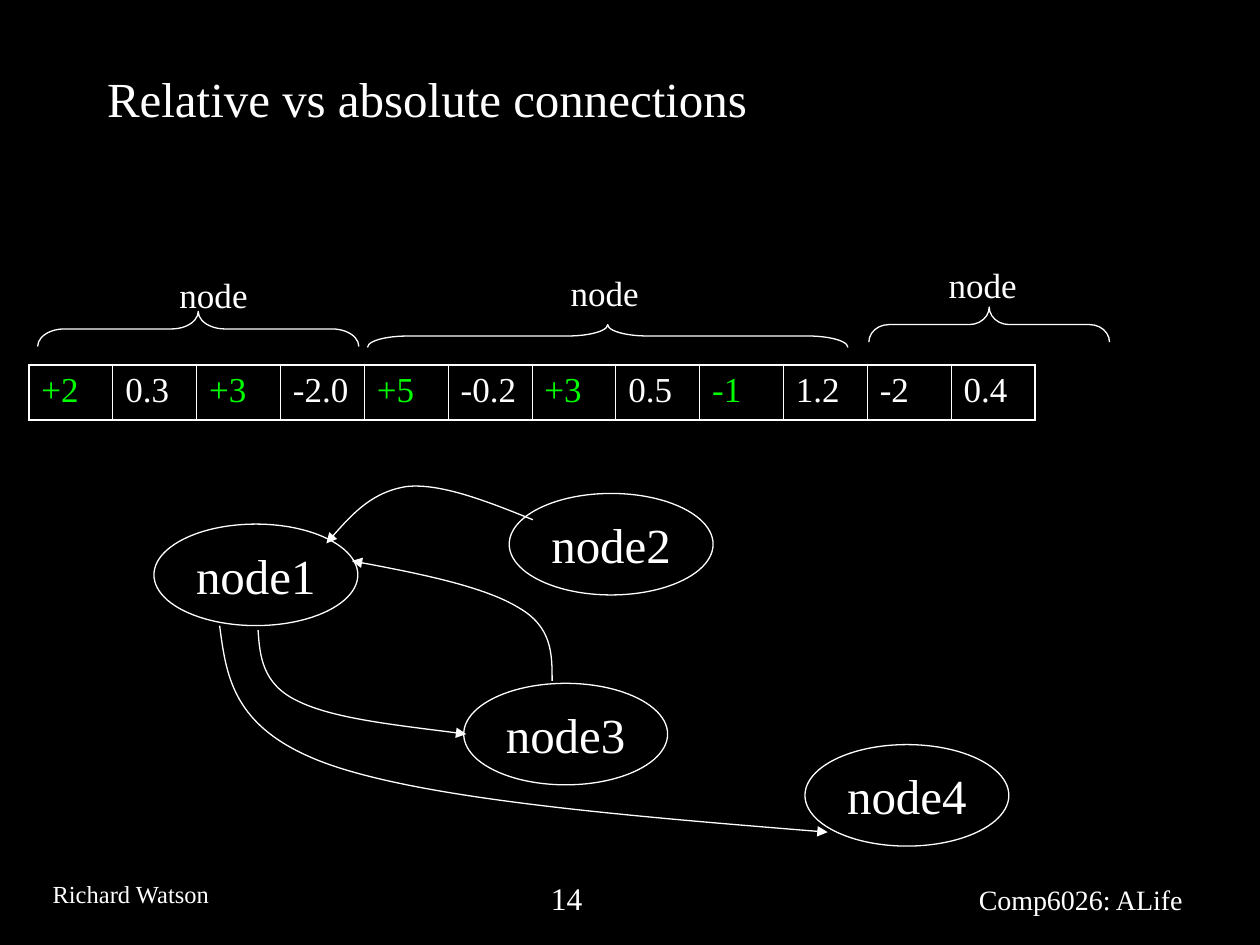
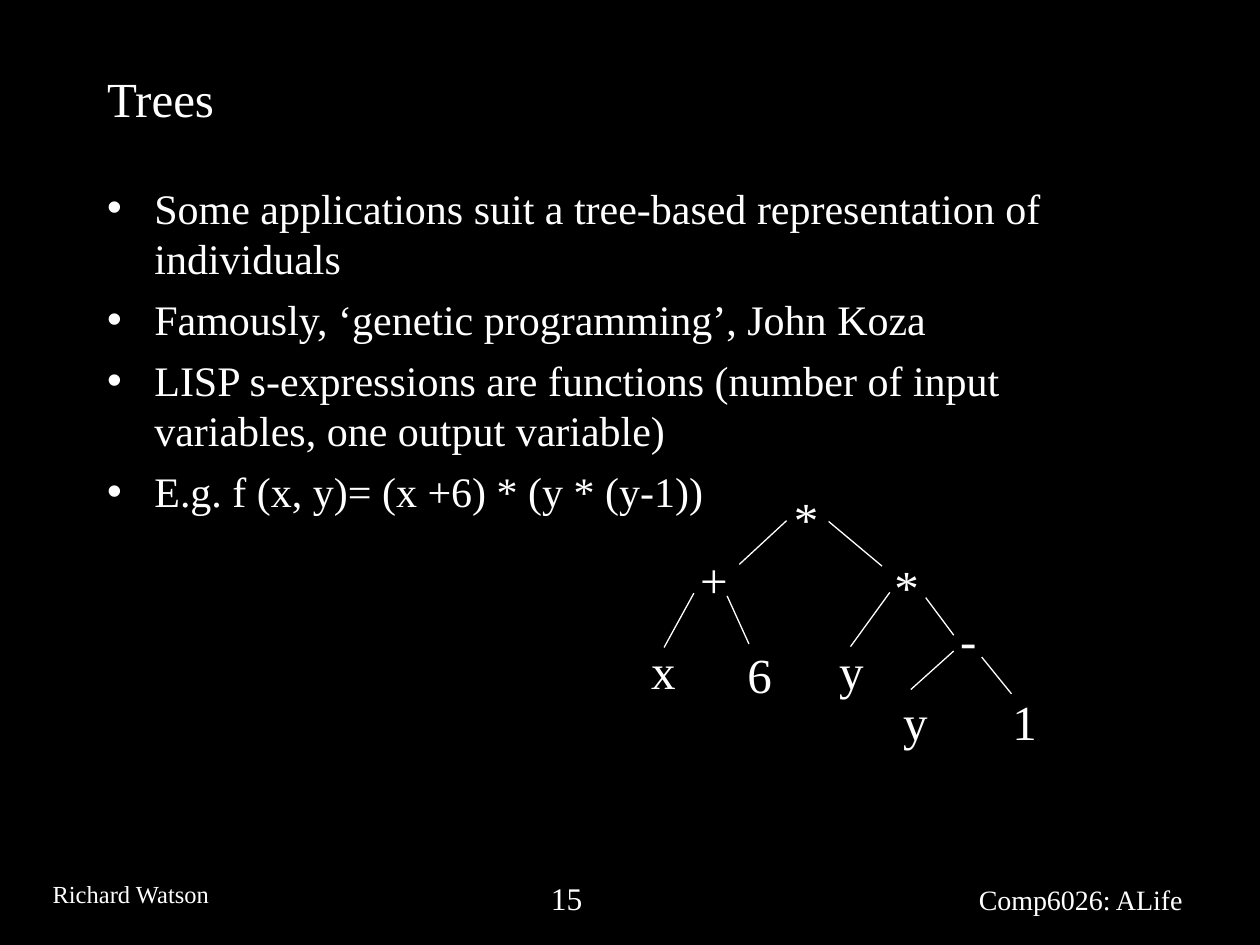
from lxml import etree
from pptx import Presentation
from pptx import util as u
from pptx.dml.color import RGBColor
from pptx.enum import shapes, text
from pptx.oxml.ns import qn

BLACK = RGBColor(0x00, 0x00, 0x00)
WHITE = RGBColor(0xFF, 0xFF, 0xFF)
GREEN = RGBColor(0x00, 0xFF, 0x00)
FONT = "Times New Roman"
TITLE_SIZE, BODY_SIZE, LABEL_SIZE = 28, 24, 20
LINE_WIDTH = 0.75
OUTER_BORDER, INNER_BORDER = 1.08, 0.45

TITLE_BOX = (54, 29.5, 612, 52.5)
BODY_BOX = (54, 100.5, 612, 397.5)
TITLE_ONLY, TITLE_AND_BODY = 5, 1


def points(values):
    return [u.Pt(value) for value in values]


class SlideBuilder:
    """Holds the shared style and the slide being built."""

    def __init__(self, deck):
        self.deck = deck
        self.page = None
        fill = deck.slide_master.background.fill
        fill.solid()
        fill.fore_color.rgb = BLACK

    def new_page(self, layout, title, number):
        self.page = self.deck.slides.add_slide(self.deck.slide_layouts[layout])
        self.placeholder(self.page.shapes.title, TITLE_BOX, title, TITLE_SIZE,
                         anchor=text.MSO_ANCHOR.MIDDLE)
        # Footer
        self.label("Comp6026: ALife", (552.25, 500.5, 180, 26), 16, wrap=True)
        self.label("Richard Watson", (23, 499, 105, 24.5), 14)
        self.label(str(number), (307.75, 499, 89, 29), 18, wrap=True)

    def format_text(self, frame, size, color=WHITE, align=text.PP_ALIGN.LEFT,
                    before=0):
        for para in frame.paragraphs:
            para.alignment = align
            para.space_before = u.Pt(before)
            for span in para.runs:
                span.font.name = FONT
                span.font.size = u.Pt(size)
                span.font.color.rgb = color

    def outline(self, shape):
        shape.shadow.inherit = False
        shape.fill.background()
        self.stroke(shape)

    def stroke(self, shape):
        shape.line.color.rgb = WHITE
        shape.line.width = u.Pt(LINE_WIDTH)

    def placeholder(self, box, place, words, size, before=0,
                    anchor=text.MSO_ANCHOR.TOP):
        box.left, box.top, box.width, box.height = points(place)
        frame = box.text_frame
        frame.text = words
        frame.auto_size = text.MSO_AUTO_SIZE.NONE
        frame.vertical_anchor = anchor
        self.format_text(frame, size, before=before)

    def bullets(self, lines):
        self.placeholder(self.page.placeholders[1], BODY_BOX,
                         "\n".join(lines), BODY_SIZE, before=6)

    def label(self, words, place, size, wrap=False):
        frame = self.page.shapes.add_textbox(*points(place)).text_frame
        frame.text = words
        frame.word_wrap = wrap
        frame.auto_size = text.MSO_AUTO_SIZE.SHAPE_TO_FIT_TEXT
        self.format_text(frame, size)

    def ellipse(self, words, place):
        shape = self.page.shapes.add_shape(shapes.MSO_SHAPE.OVAL, *points(place))
        self.outline(shape)
        frame = shape.text_frame
        frame.text = words
        frame.word_wrap = False
        frame.vertical_anchor = text.MSO_ANCHOR.MIDDLE
        self.format_text(frame, TITLE_SIZE, align=text.PP_ALIGN.CENTER)

    def brace(self, left, top, width, height):
        """A left brace turned a quarter so that it points up."""
        shift = (width - height) / 2
        shape = self.page.shapes.add_shape(
            shapes.MSO_SHAPE.LEFT_BRACE,
            *points((left + shift, top - shift, height, width)))
        shape.rotation = 90
        shape.adjustments[0] = width / height / 12
        self.outline(shape)

    def curved_arrow(self, start, *controls):
        """Bézier curve; every three points after the start make a segment."""
        builder = self.page.shapes.build_freeform(*points(start))
        builder.add_line_segments([points(spot) for spot in controls], close=False)
        shape = builder.convert_to_shape()
        self.outline(shape)
        segments = list(shape._element.iter(qn("a:lnTo")))
        for first in range(0, len(segments), 3):
            curve = etree.Element(qn("a:cubicBezTo"))
            segments[first].addprevious(curve)
            for segment in segments[first:first + 3]:
                curve.append(segment[0])
                segment.getparent().remove(segment)
        line = shape._element.spPr.find(qn("a:ln"))
        etree.SubElement(line, qn("a:tailEnd"), type="triangle")

    def line(self, start, end):
        connector = self.page.shapes.add_connector(
            shapes.MSO_CONNECTOR.STRAIGHT, *points(start + end))
        self.stroke(connector)
        etree.SubElement(connector._element.spPr, qn("a:effectLst"))

    def cell_borders(self, cell, widths):
        properties = cell._tc.get_or_add_tcPr()
        for index, (side, width) in enumerate(widths.items()):
            border = etree.Element(qn("a:ln" + side), w=str(u.Pt(width)))
            fill = etree.SubElement(border, qn("a:solidFill"))
            etree.SubElement(fill, qn("a:srgbClr"), val=str(WHITE))
            properties.insert(index, border)

    def gene_table(self, place, values, green_columns):
        table = self.page.shapes.add_table(1, len(values), *points(place)).table
        table.first_row = table.horz_banding = False
        last = len(values) - 1
        for index, value in enumerate(values):
            table.columns[index].width = u.Pt(place[2] / len(values))
            cell = table.cell(0, index)
            cell.text_frame.text = value
            cell.fill.background()
            self.format_text(cell.text_frame, LABEL_SIZE, before=5,
                             color=GREEN if index in green_columns else WHITE)
            self.cell_borders(cell, {
                "L": OUTER_BORDER if index == 0 else INNER_BORDER,
                "R": OUTER_BORDER if index == last else INNER_BORDER,
                "T": OUTER_BORDER,
                "B": OUTER_BORDER})


def connections_page(slide):
    slide.new_page(TITLE_ONLY, "Relative vs absolute connections", 14)

    # Genome and the braces that group it into nodes
    genes = ["+2", "0.3", "+3", "-2.0", "+5", "-0.2",
             "+3", "0.5", "-1", "1.2", "-2", "0.4"]
    slide.gene_table((16.5, 208.5, 575, 31.5), genes, range(0, 10, 2))
    for brace, label_left, label_top in [
            ((21.5, 178, 183.5, 20), 95.5, 152.5),
            ((210, 185.5, 274.5, 13), 319, 151.5),
            ((496.5, 175.5, 137.5, 20), 535, 147)]:
        slide.brace(*brace)
        slide.label("node", (label_left, label_top, 53.3, 31.5), LABEL_SIZE)

    # Network
    for name, left, top in [("node1", 88, 299.5), ("node3", 265, 390.5),
                            ("node2", 291, 282), ("node4", 460, 425.5)]:
        slide.ellipse(name, (left, top, 116.5, 58))
    # node1 to node3
    slide.curved_arrow((147.5, 360), (148.5, 375), (150, 391), (170, 400.5),
                       (190, 410.5), (228, 414.5), (266.5, 419.5))
    # node1 to node4
    slide.curved_arrow((125.5, 357.5), (129.5, 387.5), (133, 418.5), (191.5, 438),
                       (249, 457), (360.5, 466.5), (473, 475.5))
    # node3 to node1
    slide.curved_arrow((315.5, 389), (315.5, 373.5), (315.5, 358), (296, 347),
                       (277, 335.5), (239, 327.5), (201, 320.5))
    # node2 to node1
    slide.curved_arrow((304.5, 297), (278.5, 286.5), (252, 276), (232.5, 278),
                       (213, 281), (199.5, 295.5), (186.5, 310.5))


def trees_page(slide):
    slide.new_page(TITLE_AND_BODY, "Trees", 15)
    slide.bullets([
        "Some applications suit a tree-based representation of individuals",
        "Famously, ‘genetic programming’, John Koza",
        "LISP s-expressions are functions (number of input variables, "
        "one output variable)",
        "E.g. f (x, y)= (x +6) * (y * (y-1))"])

    # Branches of the expression tree
    for start, end in [
            ((379.5, 370), (396.5, 339)), ((415.5, 340.5), (428, 368)),
            ((486, 369.5), (508.5, 338.5)), ((529, 341.5), (545, 363)),
            ((545, 372), (520.5, 394)), ((561, 375.5), (578, 396.5)),
            ((422.5, 322.5), (449.5, 297.5)), ((473.5, 298), (504, 323.5))]:
        slide.line(start, end)

    # Operators and leaves
    for symbol, left, top, width in [
            ("x", 365, 362.5, 28), ("6", 420, 365, 28), ("y", 472.5, 362.5, 28),
            ("y", 509, 391.5, 28), ("1", 571.5, 391.5, 28), ("-", 541.5, 345, 24),
            ("*", 504, 314.5, 28), ("+", 393, 310.5, 30), ("*", 446.5, 275.5, 28)]:
        slide.label(symbol, (left, top, width, 41), TITLE_SIZE)


def main():
    deck = Presentation()
    deck.slide_width, deck.slide_height = u.Pt(720), u.Pt(540)
    slide = SlideBuilder(deck)
    connections_page(slide)
    trees_page(slide)
    deck.save("out.pptx")


if __name__ == "__main__":
    main()
